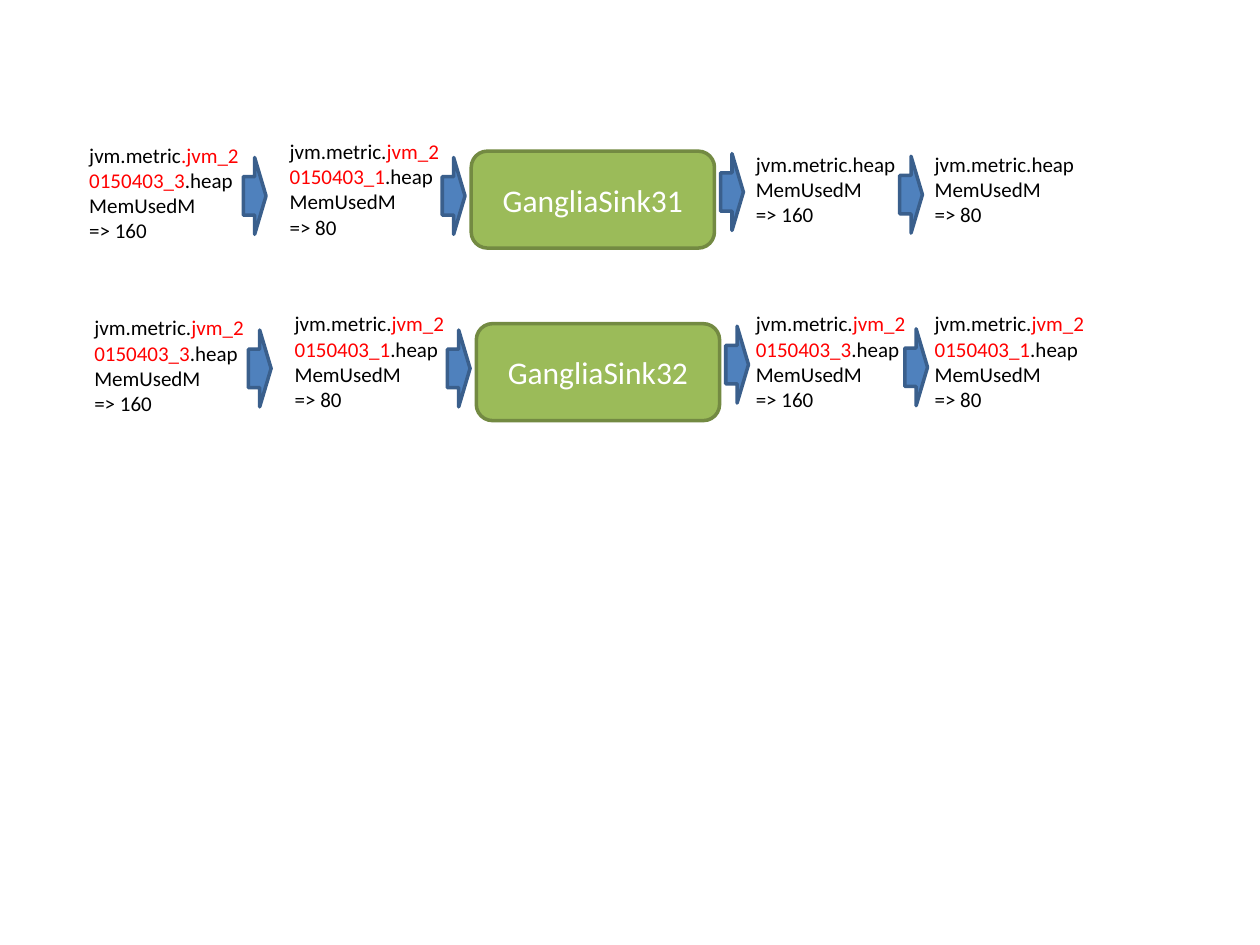
"""Build a slide showing how two Ganglia sinks treat tagged JVM metrics."""
from dataclasses import dataclass

from pptx import Presentation
from pptx.dml.color import RGBColor
from pptx.enum.shapes import MSO_SHAPE
from pptx.enum.text import MSO_ANCHOR, MSO_AUTO_SIZE, PP_ALIGN
from pptx.shapes.autoshape import Shape
from pptx.slide import Slide
from pptx.text.text import _Paragraph
from pptx.util import Pt

ROUNDED, ARROW = MSO_SHAPE.ROUNDED_RECTANGLE, MSO_SHAPE.RIGHT_ARROW
MIDDLE, CENTER = MSO_ANCHOR.MIDDLE, PP_ALIGN.CENTER
GROW = MSO_AUTO_SIZE.SHAPE_TO_FIT_TEXT

BLACK = RGBColor(0x00, 0x00, 0x00)
WHITE = RGBColor(0xFF, 0xFF, 0xFF)
RED = RGBColor(0xFF, 0x00, 0x00)
GREEN = RGBColor(0x9B, 0xBB, 0x59)
DARK_GREEN = RGBColor(0x73, 0x8A, 0x42)
BLUE = RGBColor(0x4F, 0x81, 0xBD)
DARK_BLUE = RGBColor(0x3A, 0x5F, 0x8C)

FONT = "Calibri"
ROW_SHIFT_X, ROW_SHIFT_Y = 2.9, 98.6
METRIC_WIDTH, LINE_HEIGHT, INSETS = 102.2, 14.6, 7.2
ARROW_SPOTS = ((139, 90), (252.7, 90), (411.8, 87.8), (514.1, 89.3))


@dataclass(frozen=True)
class Metric:
    """A metric name, its optional tag and its value."""
    left: float
    top: float
    value: int
    tag: str = ""
    prefix: str = "jvm.metric."


@dataclass(frozen=True)
class Flow:
    """A sink with the metrics that enter and leave it."""
    sink: str
    metrics: tuple[Metric, ...]


FLOWS = (
    Flow("GangliaSink31", (
        Metric(43.9, 77.8, 160, ".jvm_20150403_3", "jvm.metric"),
        Metric(158.4, 75.6, 80, "jvm_20150403_1"),
        Metric(424.8, 82.8, 160),
        Metric(527, 82.8, 80),
    )),
    Flow("GangliaSink32", (
        Metric(46.8, 176.4, 160, "jvm_20150403_3"),
        Metric(161.3, 174.2, 80, "jvm_20150403_1"),
        Metric(424.8, 174.2, 160, "jvm_20150403_3"),
        Metric(527, 174.2, 80, "jvm_20150403_1"),
    )),
)


def add_text(paragraph: _Paragraph, text: str, size: float, color: RGBColor) -> None:
    """Append one formatted run."""
    run = paragraph.add_run()
    run.text = text
    run.font.name = FONT
    run.font.size = Pt(size)
    run.font.color.rgb = color


def add_block(slide: Slide, preset: MSO_SHAPE, left: float, top: float,
              width: float, height: float, fill: RGBColor, outline: RGBColor) -> Shape:
    """Draw a filled and outlined preset shape."""
    block = slide.shapes.add_shape(preset, Pt(left), Pt(top), Pt(width), Pt(height))
    block.shadow.inherit = False
    block.fill.solid()
    block.fill.fore_color.rgb = fill
    block.line.color.rgb = outline
    block.line.width = Pt(2)
    return block


def add_metric(slide: Slide, metric: Metric) -> None:
    """Write a metric name with its value below."""
    lines = 4 if metric.tag else 3
    label = slide.shapes.add_textbox(Pt(metric.left), Pt(metric.top), Pt(METRIC_WIDTH),
                                     Pt(lines * LINE_HEIGHT + INSETS))
    frame = label.text_frame
    frame.word_wrap = True
    frame.auto_size = GROW
    name = frame.paragraphs[0]
    if metric.tag:
        add_text(name, metric.prefix, 12, BLACK)
        add_text(name, metric.tag, 12, RED)
        add_text(name, ".heapMemUsedM ", 12, BLACK)
    else:
        add_text(name, metric.prefix + "heapMemUsedM ", 12, BLACK)
    add_text(frame.add_paragraph(), f"=> {metric.value}", 12, BLACK)


def add_flow(slide: Slide, flow: Flow, row: int) -> None:
    """Draw one sink with its arrows and metrics."""
    dx, dy = row * ROW_SHIFT_X, row * ROW_SHIFT_Y
    sink = add_block(slide, ROUNDED, 269.3 + dx, 86.4 + dy, 139, 55.4, GREEN, DARK_GREEN)
    sink.text_frame.vertical_anchor = MIDDLE
    title = sink.text_frame.paragraphs[0]
    title.alignment = CENTER
    add_text(title, flow.sink, 18, WHITE)
    for metric in flow.metrics:
        add_metric(slide, metric)
    for left, top in ARROW_SPOTS:
        add_block(slide, ARROW, left + dx, top + dy, 13, 43.9, BLUE, DARK_BLUE)


def main() -> None:
    """Build and save the slide."""
    deck = Presentation()
    deck.slide_width, deck.slide_height = Pt(720), Pt(540)
    slide = deck.slides.add_slide(deck.slide_layouts.get_by_name("Blank"))
    for row, flow in enumerate(FLOWS):
        add_flow(slide, flow, row)
    deck.save("out.pptx")


main()
